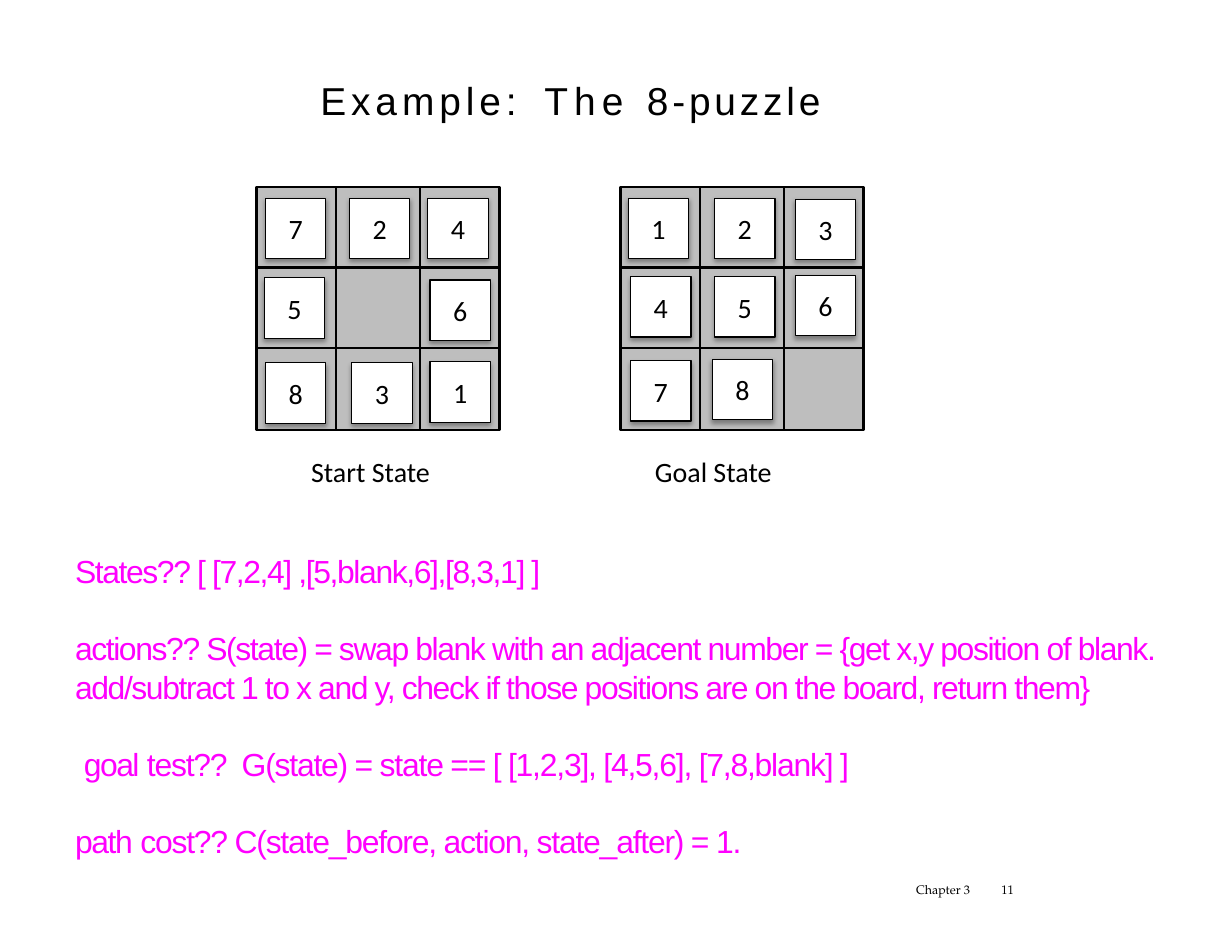
from lxml import etree
from pptx import Presentation
from pptx.dml.color import RGBColor
from pptx.enum.shapes import MSO_CONNECTOR, MSO_SHAPE
from pptx.enum.text import MSO_ANCHOR, MSO_AUTO_SIZE, PP_ALIGN
from pptx.oxml.ns import qn
from pptx.util import Inches, Pt

HUES = {"ink": "000000", "tile": "FFFFFF", "board": "BEBEBE", "note": "FF00FF"}

# Content: each run is (text, letter spacing in points)
TITLE = [("Example:\t", 3.2), ("The ", 4), ("8-puzzle", 2.5)]

# Gap flag, then runs
NOTES = [
    (False, [("States?? [ [7,2,4] ,[5,blank,6],[8,3,1] ]", -0.9)]),
    (True, [("actions?? S(state) = swap blank with an adjacent number = "
             "{get x,y position of blank.", -0.9)]),
    (False, [("add/subtract 1 to x and y, check if those positions are on "
              "the board, return them}", -0.9)]),
    (True, [(" ", -0.9), ("goal ", -1),
            ("test??  G(state) = state == [ [1,2,3], [4,5,6], [7,8,blank] ]", -0.8)]),
    (True, [("path ", -0.9),
            ("cost?? C(state_before, action, state_after) = 1.", -0.8)]),
]

# Tiles are (number, x, y), placed by hand within their board
BOARDS = [
    {"left": 2.29, "label": "Start State", "at": 2.68, "wide": 1.26, "tiles": [
        (7, 0.08, 0.1), (2, 0.83, 0.1), (4, 1.53, 0.1),
        (5, 0.07, 0.81), (6, 1.55, 0.83),
        (8, 0.08, 1.57), (3, 0.85, 1.57), (1, 1.55, 1.56)]},
    {"left": 5.54, "label": "Goal State", "at": 5.75, "wide": 1.24, "tiles": [
        (1, 0.07, 0.1), (2, 0.84, 0.1), (3, 1.56, 0.11),
        (4, 0.09, 0.8), (5, 0.84, 0.8), (6, 1.56, 0.79),
        (7, 0.09, 1.55), (8, 0.82, 1.54)]},
]
FOOT = [(8.18, 0.54, [("Chapter ", 0), ("3", 0.1)]), (8.94, 0.17, [("11", 0.1)])]

TOP, SIDE, TILE = 1.67, 2.17, 0.54
COLS, ROWS = (0.71, 1.46), (0.72, 1.44)

# Text formats
HEAD = {"name": "Arial", "size": Pt(25)}
BODY = {"name": "Arial", "size": Pt(20.5)}
CELL = {"name": "Calibri", "size": Pt(18)}
TINY = {"name": "TeX Gyre Pagella", "size": Pt(8)}
BARE = {"margin_left": 0, "margin_right": 0, "margin_top": 0, "margin_bottom": 0,
        "word_wrap": True, "auto_size": MSO_AUTO_SIZE.NONE,
        "vertical_anchor": MSO_ANCHOR.TOP}


def style(item, look):
    for key, value in look.items():
        setattr(item, key, value)


def tint(hue):
    return RGBColor.from_string(HUES[hue])


def place(shape, *box):
    style(shape, dict(zip(("left", "top", "width", "height"), map(Inches, box))))


def write(para, runs, look, hue="ink"):
    for text, gap in runs:
        run = para.add_run()
        run.text = text
        style(run.font, look)
        run.font.color.rgb = tint(hue)
        if gap:
            run.font._element.set("spc", str(round(gap * 100)))


def square(left, top, side, hue, width):
    box = slide.shapes.add_shape(
        MSO_SHAPE.RECTANGLE, *map(Inches, (left, top, side, side)))
    box.shadow.inherit = False
    box.fill.solid()
    box.fill.fore_color.rgb = tint(hue)
    box.line.color.rgb = tint("ink")
    box.line.width = Pt(width)
    return box


def rule(*ends):
    line = slide.shapes.add_connector(MSO_CONNECTOR.STRAIGHT, *map(Inches, ends))
    line.line.color.rgb = tint("ink")
    line.line.width = Pt(1.53)
    etree.SubElement(line._element.spPr, qn("a:effectLst"))


def shade(box):
    effects = box._element.spPr.find(qn("a:effectLst"))
    cast = etree.SubElement(
        effects, qn("a:outerShdw"), blurRad=str(Pt(3.1)), dist=str(Pt(1.8)),
        dir="5400000", rotWithShape="0")
    tone = etree.SubElement(cast, qn("a:srgbClr"), val=HUES["ink"])
    etree.SubElement(tone, qn("a:alpha"), val="35000")


def label(box, runs, look, frame):
    area = slide.shapes.add_textbox(*map(Inches, box)).text_frame
    style(area, frame)
    write(area.paragraphs[0], runs, look)
    return area.paragraphs[0]


deck = Presentation()
deck.slide_width, deck.slide_height = Inches(11), Inches(8.5)
slide = deck.slides.add_slide(deck.slide_layouts[1])
title, body = slide.placeholders

# Title, with a tab stop between its two parts
place(title, 0.68, 0.76, 8.44, 1.42)
style(title.text_frame, BARE | {"margin_left": Inches(2.18)})
head = title.text_frame.paragraphs[0]
style(head, {"alignment": PP_ALIGN.LEFT, "line_spacing": Pt(24.3)})
stops = etree.SubElement(head._p.get_or_add_pPr(), qn("a:tabLst"))
etree.SubElement(stops, qn("a:tab"), pos=str(Inches(2)), algn="l")
write(head, TITLE, HEAD)

# Boards with grid lines, tiles and captions
for board in BOARDS:
    left = board["left"]
    square(left, TOP, SIDE, "board", 1.53)
    for x in COLS:
        rule(left + x, TOP, left + x, TOP + SIDE)
    for y in ROWS:
        rule(left, TOP + y, left + SIDE, TOP + y)
    for number, x, y in board["tiles"]:
        tile = square(left + x, TOP + y, TILE, "tile", 0.75)
        shade(tile)
        tile.text_frame.vertical_anchor = MSO_ANCHOR.MIDDLE
        para = tile.text_frame.paragraphs[0]
        para.alignment = PP_ALIGN.CENTER
        write(para, [(str(number), 0)], CELL)
    label((board["at"], 4.01, board["wide"], 0.4), [(board["label"], 0)], CELL,
          {"word_wrap": False})

# Problem definition
place(body, 0.66, 4.92, 9.74, 2.41)
style(body.text_frame, BARE)
for index, (gap, runs) in enumerate(NOTES):
    para = body.text_frame.add_paragraph() if index else body.text_frame.paragraphs[0]
    style(para, {"line_spacing": 1.01, "space_before": Pt(24.8 if gap else 0)})
    props = para._p.get_or_add_pPr()
    props.set("marL", str(Inches(0.01)))
    props.set("indent", "0")
    etree.SubElement(props, qn("a:buNone"))
    write(para, runs, BODY, "note")

# Footer
for left, width, runs in FOOT:
    label((left, 7.89, width, 0.16), runs, TINY, BARE).line_spacing = Pt(8.8)

deck.save("out.pptx")
